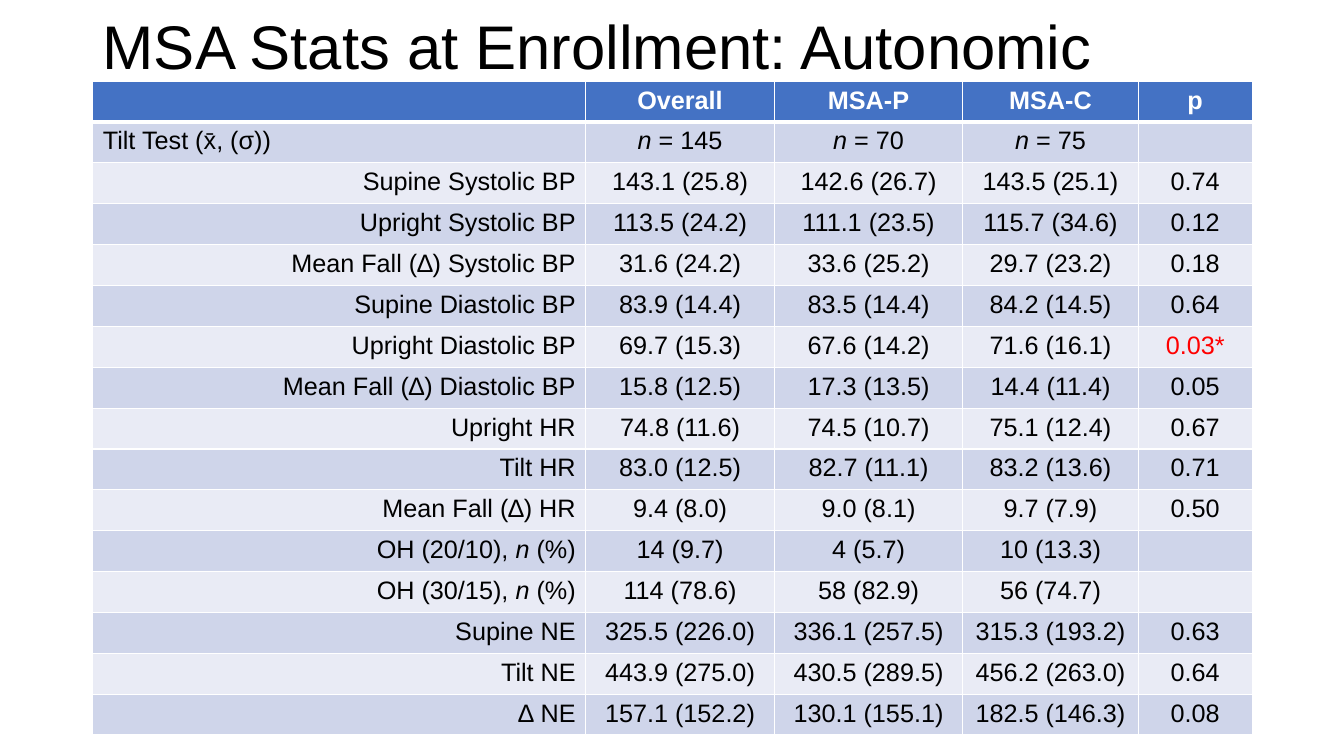
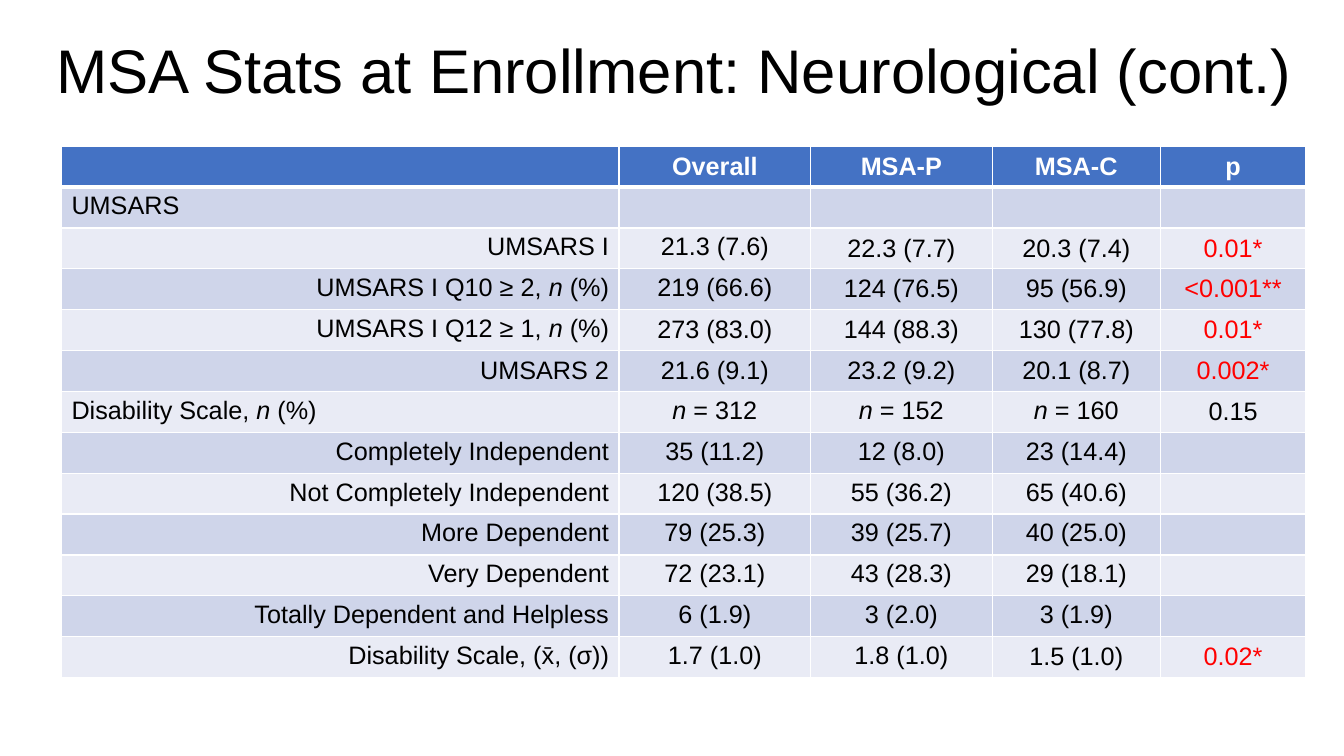
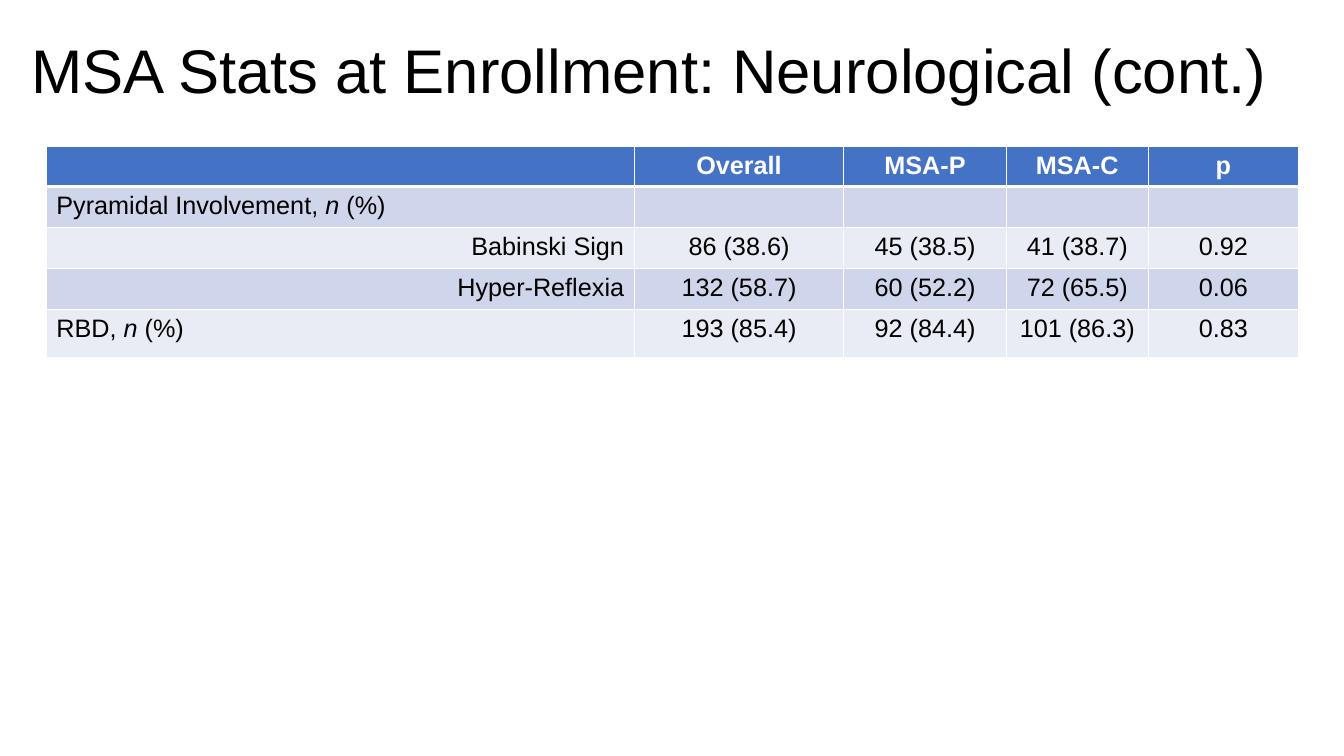
from dataclasses import dataclass
from lxml.etree import SubElement
from pptx import Presentation
from pptx.dml.color import RGBColor as Color
from pptx.enum.text import MSO_ANCHOR as Anchor, PP_ALIGN as Align
from pptx.oxml.ns import qn
from pptx.util import Inches, Pt


@dataclass(frozen=True)
class Theme:
    font: str = "Arial"
    title: int = 44
    body: int = 18
    ink: str = "000000"
    white: str = "FFFFFF"
    alert: str = "FF0000"
    head: str = "4472C4"
    bands: tuple = ("E9EBF5", "CFD5EA")
    rule: int = 1
    thick: int = 3
    unit: int = Inches(1)
    row: int = Pt(29.2)


THEME = Theme()
HEADS = "|Overall|MSA-P|MSA-C|p"

TILT = [
    "#Tilt Test (x\u0304, (σ))|_n_ = 145|_n_ = 70|_n _= 75|",
    "Supine Systolic BP|143.1 (25.8)|142.6 (26.7)|143.5 (25.1)|0.74",
    "Upright Systolic BP|113.5 (24.2)|111.1 (23.5)|115.7 (34.6)|0.12",
    "Mean Fall (\u2206) Systolic BP|31.6 (24.2)|33.6 (25.2)|29.7 (23.2)|0.18",
    "Supine Diastolic BP|83.9 (14.4)|83.5 (14.4)|84.2 (14.5)|0.64",
    "Upright Diastolic BP|69.7 (15.3)|67.6 (14.2)|71.6 (16.1)|0.03*",
    "Mean Fall (\u2206) Diastolic BP|15.8 (12.5)|17.3 (13.5)|14.4 (11.4)|0.05",
    "Upright HR|74.8 (11.6)|74.5 (10.7)|75.1 (12.4)|0.67",
    "Tilt HR|83.0 (12.5)|82.7 (11.1)|83.2 (13.6)|0.71",
    "Mean Fall (\u2206) HR|9.4 (8.0)|9.0 (8.1)|9.7 (7.9)|0.50",
    "OH (20/10), _n_ (%)|14 (9.7)|4 (5.7)|10 (13.3)|",
    "OH (30/15), _n_ (%)|114 (78.6)|58 (82.9)|56 (74.7)|",
    "Supine NE|325.5 (226.0)|336.1 (257.5)|315.3 (193.2)|0.63",
    "Tilt NE|443.9 (275.0)|430.5 (289.5)|456.2 (263.0)|0.64",
    "\u2206 NE|157.1 (152.2)|130.1 (155.1)|182.5 (146.3)|0.08",
]

SCALE = [
    "#UMSARS||||",
    "UMSARS I|21.3 (7.6)|22.3 (7.7)|20.3 (7.4)|0.01*",
    "UMSARS I Q10 ≥ 2, _n_ (%)|219 (66.6)|124 (76.5)|95 (56.9)|<0.001**",
    "UMSARS I Q12 ≥ 1, _n_ (%)|273 (83.0)|144 (88.3)|130 (77.8)|0.01*",
    "UMSARS 2|21.6 (9.1)|23.2 (9.2)|20.1 (8.7)|0.002*",
    "#Disability Scale, _n_ (%)|_n_ = 312|_n_ = 152|_n_ = 160|0.15",
    "Completely Independent|35 (11.2)|12 (8.0)|23 (14.4)|",
    "Not Completely Independent|120 (38.5)|55 (36.2)|65 (40.6)|",
    "More Dependent|79 (25.3)|39 (25.7)|40 (25.0)|",
    "Very Dependent|72 (23.1)|43 (28.3)|29 (18.1)|",
    "Totally Dependent and Helpless|6 (1.9)|3 (2.0)|3 (1.9)|",
    "Disability Scale, (x\u0304, (σ))|1.7 (1.0)|1.8 (1.0)|1.5 (1.0)|0.02*",
]

SIGNS = [
    "#Pyramidal Involvement, _n_ (%)||||",
    "Babinski Sign|86 (38.6)|45 (38.5)|41 (38.7)|0.92",
    "Hyper-Reflexia|132 (58.7)|60 (52.2)|72 (65.5)|0.06",
    "#RBD, _n_ (%)|193 (85.4)|92 (84.4)|101 (86.3)|0.83",
]


def grid(*sizes):
    return [round(size * THEME.unit) for size in sizes]


def style(run, size, color, bold=False, slant=False):
    font = run.font
    font.name, font.size = THEME.font, Pt(size)
    font.bold, font.italic = bold, slant
    font.color.rgb = Color.from_string(color)


def add_title(slide, text, left, top, width):
    frame = slide.shapes.add_textbox(*grid(left, top, width, 1.45)).text_frame
    frame.word_wrap = True
    frame.vertical_anchor = Anchor.MIDDLE
    frame.text = text
    line = frame.paragraphs[0]
    line.line_spacing = 0.9
    style(line.runs[0], THEME.title, THEME.ink)


def add_edge(cell, side, width):
    props = cell._tc.get_or_add_tcPr()
    edge = SubElement(props, qn(f"a:ln{side}"), w=str(Pt(width)))
    fill = SubElement(edge, qn("a:solidFill"))
    SubElement(fill, qn("a:srgbClr"), val=THEME.white)


def paint(cell, row):
    add_edge(cell, "L", THEME.rule)
    add_edge(cell, "R", THEME.rule)
    if row == 0:
        add_edge(cell, "T", THEME.rule)
    add_edge(cell, "B", THEME.rule if row else THEME.thick)
    cell.fill.solid()
    shade = THEME.bands[row % 2] if row else THEME.head
    cell.fill.fore_color.rgb = Color.from_string(shade)


def write(cell, text, row, col):
    line = cell.text_frame.paragraphs[0]
    group = text.startswith("#")
    line.alignment = Align.CENTER if col else Align.LEFT if group else Align.RIGHT
    color = THEME.alert if text.endswith("*") else THEME.ink if row else THEME.white
    for turn, part in enumerate(text.lstrip("#").split("_")):
        if part:
            run = line.add_run()
            run.text = part
            style(run, THEME.body, color, row == 0, turn % 2 == 1)


def add_stats(slide, data, left, top, widths, tall, mid):
    rows = [line.split("|") for line in [HEADS] + data]
    highs = [THEME.row] * len(rows)
    for row, size in tall.items():
        highs[row] = grid(size)[0]
    wides = grid(*widths)
    table = slide.shapes.add_table(
        len(rows), len(wides), *grid(left, top), sum(wides), sum(highs)
    ).table
    for column, wide in zip(table.columns, wides):
        column.width = wide
    for row, texts in enumerate(rows):
        table.rows[row].height = highs[row]
        for col, text in enumerate(texts):
            cell = table.cell(row, col)
            paint(cell, row)
            if text:
                write(cell, text, row, col)
                if col >= mid.get(row, len(wides)):
                    cell.vertical_anchor = Anchor.MIDDLE


def main():
    deck = Presentation()
    deck.slide_width, deck.slide_height = grid(13.33, 7.5)
    name = "MSA Stats at Enrollment: "
    more = name + "Neurological (cont.)"
    pages = [
        ((name + "Autonomic", 0.92, -0.23, 11.5),
         (TILT, 0.92, 0.81, (4.89, 1.87, 1.87, 1.74, 1.13), {0: 0.4, -1: 0}, {})),
        ((more, 0.46, 0, 12.88),
         (SCALE, 0.61, 1.45, (5.53, 1.9, 1.8, 1.67, 1.44), {},
          {0: 1, 2: 2, 3: 2, 4: 1, 5: 0, 6: 4, 12: 3})),
        ((more, 0.21, 0, 13.13),
         (SIGNS, 0.46, 1.45, (5.83, 2.08, 1.61, 1.41, 1.49), {0: 0.26, -1: 0.48}, {})),
    ]
    for title, stats in pages:
        slide = deck.slides.add_slide(deck.slide_layouts[6])
        add_title(slide, *title)
        add_stats(slide, *stats)
    deck.save("out.pptx")


main()
